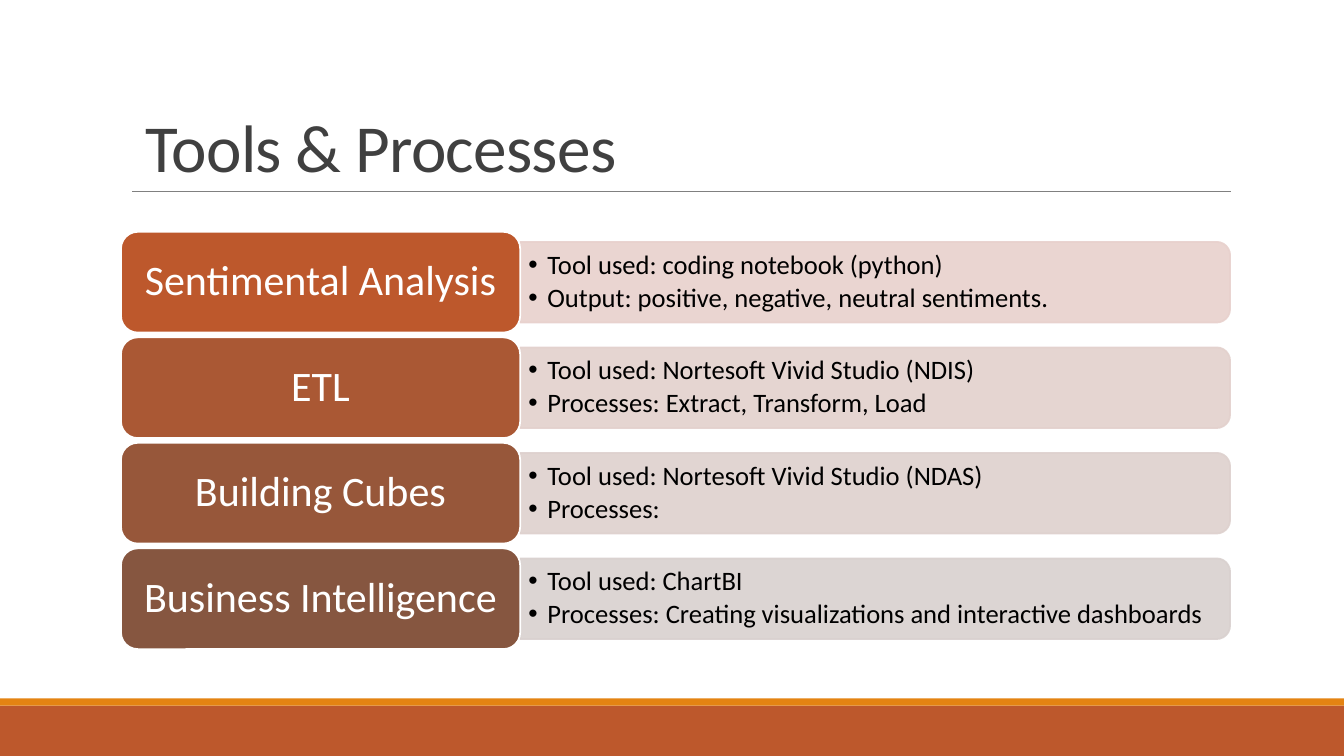
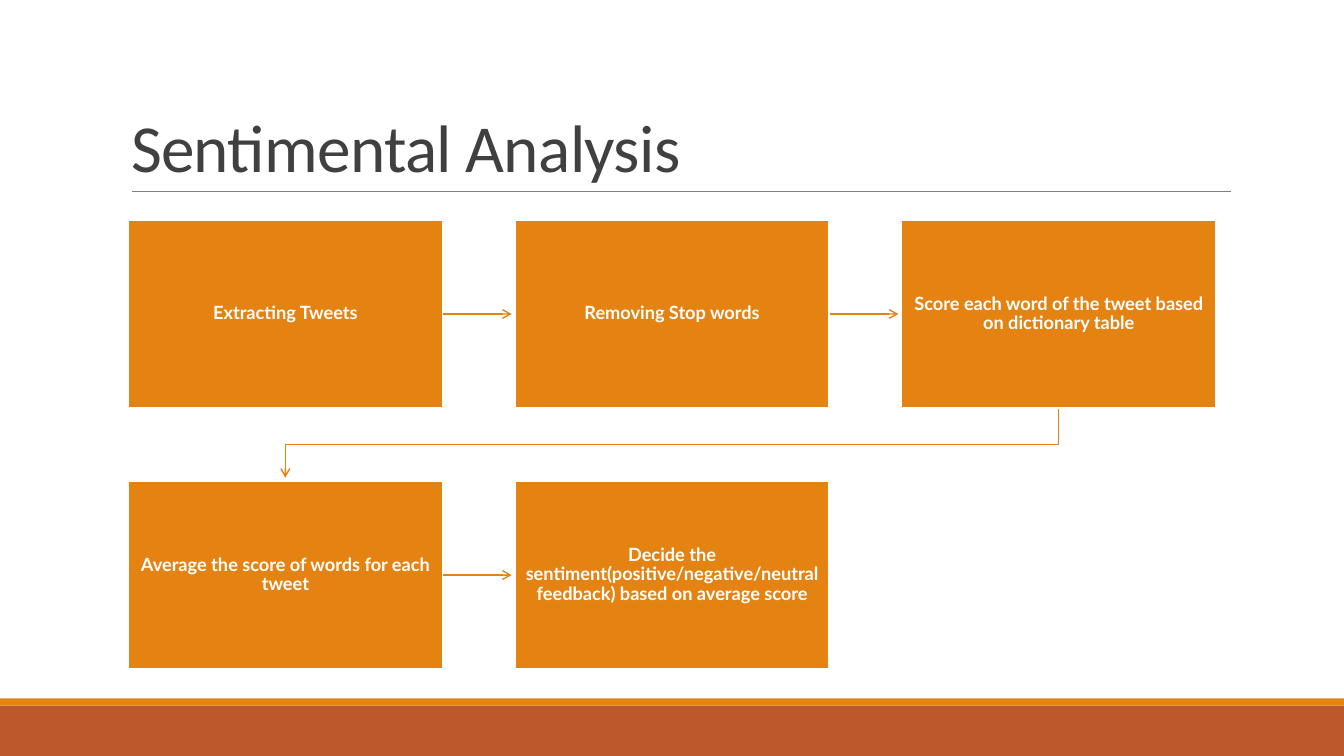
from dataclasses import dataclass
from itertools import pairwise

from lxml.etree import SubElement
from pptx import Presentation
from pptx.dml.color import RGBColor
from pptx.enum.shapes import MSO_CONNECTOR as Connector, MSO_SHAPE as Preset
from pptx.enum.text import MSO_ANCHOR as Anchor, MSO_AUTO_SIZE as AutoSize, PP_ALIGN as Align
from pptx.oxml.ns import qn
from pptx.util import Inches, Pt


@dataclass(frozen=True)
class Theme:
    accent: str = "E48312"
    footer: str = "BD582C"
    rule: str = "808080"
    title: str = "404040"
    dark: str = "000000"
    light: str = "FFFFFF"
    font: str = "Calibri"
    flow_font: str = "Lato"
    title_size: float = 48
    label_size: float = 30
    bullet_size: float = 19
    flow_size: float = 13
    outline: float = 1.25
    arrow: float = 1
    hairline: float = 0.5
    panel_opacity: int = 90


@dataclass(frozen=True)
class Box:
    left: float
    top: float
    width: float
    height: float

    @property
    def right(self):
        return self.left + self.width

    @property
    def bottom(self):
        return self.top + self.height

    @property
    def center(self):
        return self.left + self.width / 2

    @property
    def middle(self):
        return self.top + self.height / 2

    def inches(self):
        return [Inches(length) for length in (self.left, self.top, self.width, self.height)]


THEME = Theme()
PAGE = Box(0, 0, 13.33, 7.5)
TITLE = Box(1.2, 0.31, 11, 1.59)
RULE = Box(1.31, 1.9, 10.9, 0)
STACK = Box(1.2, 2.3, 11, 4.14)
FLOW = Box(1.27, 2.18, 10.79, 4.46)

TOOLS = [
    ("Sentimental Analysis", "BD582C", "E8D1CD",
     ["Tool used: coding notebook (python)", "Output: positive, negative, neutral sentiments."]),
    ("ETL", "AA5834", "E3D1CD",
     ["Tool used: Nortesoft Vivid Studio (NDIS)", "Processes: Extract, Transform, Load"]),
    ("Building Cubes", "97573A", "DED1CE",
     ["Tool used: Nortesoft Vivid Studio (NDAS)", "Processes: "]),
    ("Business Intelligence ", "865640", "D9D1CF",
     ["Tool used: ChartBI", "Processes: Creating visualizations and interactive dashboards"]),
]

STEPS = [
    "Extracting Tweets",
    "Removing Stop words",
    "Score each word of the tweet based on dictionary table",
    "Average the score of words for each tweet",
    "Decide the sentiment(positive/negative/neutral feedback) based on average score",
]


def color(value):
    return RGBColor.from_string(value)


def set_line(shape, value, width):
    shape.line.color.rgb = color(value)
    shape.line.width = Pt(width)


def add_block(slide, preset, box, fill, outline=None):
    shape = slide.shapes.add_shape(preset, *box.inches())
    shape.shadow.inherit = False
    shape.fill.solid()
    shape.fill.fore_color.rgb = color(fill)
    if outline:
        set_line(shape, outline, THEME.outline)
    else:
        shape.line.fill.background()
    return shape


def prepare_frame(shape, anchor, side, vertical):
    frame = shape.text_frame
    frame.word_wrap = True
    frame.auto_size = AutoSize.NONE
    frame.vertical_anchor = anchor
    frame.margin_left = frame.margin_right = Inches(side)
    frame.margin_top = frame.margin_bottom = Inches(vertical)
    return frame


def write(paragraph, text, size, value, font=THEME.font, bold=False, align=Align.LEFT, spacing=0.9):
    paragraph.alignment = align
    paragraph.line_spacing = spacing
    run = paragraph.add_run()
    run.text = text
    run.font.name = font
    run.font.size = Pt(size)
    run.font.bold = bold
    run.font.color.rgb = color(value)
    return run


def add_bullet(paragraph):
    properties = paragraph._p.get_or_add_pPr()
    properties.set("marL", str(Inches(0.19)))
    properties.set("indent", str(-Inches(0.19)))
    SubElement(properties, qn("a:buFont"), typeface="Arial")
    SubElement(properties, qn("a:buChar"), char="•")


def set_opacity(shape, percent):
    for fill in shape.element.spPr.iter(qn("a:srgbClr")):
        SubElement(fill, qn("a:alpha"), val=str(percent * 1000))


def add_arrowhead(shape):
    line = shape.element.spPr.find(qn("a:ln"))
    SubElement(line, qn("a:tailEnd"), type="arrow")


def add_straight(slide, start, end, value, width):
    points = [Inches(length) for length in (*start, *end)]
    connector = slide.shapes.add_connector(Connector.STRAIGHT, *points)
    set_line(connector, value, width)
    SubElement(connector.element.spPr, qn("a:effectLst"))
    return connector


def add_titled_slide(presentation, title):
    slide = presentation.slides.add_slide(presentation.slide_layouts[5])
    add_block(slide, Preset.RECTANGLE, Box(0, 7, PAGE.width, 0.5), THEME.footer)
    add_block(slide, Preset.RECTANGLE, Box(0, 6.93, PAGE.width, 0.07), THEME.accent)
    add_straight(slide, (RULE.left, RULE.top), (RULE.right, RULE.top), THEME.rule, THEME.hairline)
    placeholder = slide.shapes.title
    placeholder.left, placeholder.top, placeholder.width, placeholder.height = TITLE.inches()
    frame = prepare_frame(placeholder, Anchor.BOTTOM, 0.1, 0.05)
    run = write(frame.paragraphs[0], title, THEME.title_size, THEME.title, spacing=0.85)
    run.font._element.set("spc", "-50")
    return slide


def add_panel(slide, box, fill, bullets):
    upright = Box(box.center - box.height / 2, box.middle - box.width / 2, box.height, box.width)
    panel = add_block(slide, Preset.ROUND_2_SAME_RECTANGLE, upright, fill, fill)
    panel.rotation = 90
    set_opacity(panel, THEME.panel_opacity)
    text_box = slide.shapes.add_textbox(*Box(box.left, box.top + 0.04, box.width - 0.04, box.height - 0.08).inches())
    frame = prepare_frame(text_box, Anchor.MIDDLE, 0.08, 0.04)
    for index, text in enumerate(bullets):
        paragraph = frame.add_paragraph() if index else frame.paragraphs[0]
        write(paragraph, text, THEME.bullet_size, THEME.dark)
        if index:
            paragraph.space_before = Pt(THEME.bullet_size * 0.15)
        add_bullet(paragraph)


def add_tool_row(slide, box, label, fill, tint, bullets):
    label_width = box.width * 0.36
    panel = Box(box.left + label_width, box.top + 0.1, box.width - label_width, box.height - 0.2)
    add_panel(slide, panel, tint, bullets)
    tag = add_block(slide, Preset.ROUNDED_RECTANGLE, Box(box.left, box.top, label_width, box.height),
                    fill, THEME.light)
    frame = prepare_frame(tag, Anchor.MIDDLE, 0.17, 0.11)
    write(frame.paragraphs[0], label, THEME.label_size, THEME.light, align=Align.CENTER)


def add_tool_stack(slide, box, tools):
    row_height = 1
    pitch = (box.height - row_height) / (len(tools) - 1)
    for index, tool in enumerate(tools):
        add_tool_row(slide, Box(box.left, box.top + index * pitch, box.width, row_height), *tool)


def add_step(slide, box, text):
    step = add_block(slide, Preset.RECTANGLE, box, THEME.accent, THEME.light)
    frame = prepare_frame(step, Anchor.MIDDLE, 0.1, 0.1)
    write(frame.paragraphs[0], text, THEME.flow_size, THEME.light, THEME.flow_font, True, Align.CENTER)


def add_flow_arrow(slide, source, target):
    gap = 0.03
    if source.top == target.top:
        arrow = add_straight(slide, (source.right, source.middle), (target.left - gap, target.middle),
                             THEME.accent, THEME.arrow)
    else:
        turn = (source.bottom + target.top) / 2
        corners = [(source.center, turn), (target.center, turn), (target.center, target.top - gap)]
        builder = slide.shapes.build_freeform(Inches(source.center), Inches(source.bottom))
        builder.add_line_segments([(Inches(x), Inches(y)) for x, y in corners], close=False)
        arrow = builder.convert_to_shape()
        arrow.shadow.inherit = False
        arrow.fill.background()
        set_line(arrow, THEME.accent, THEME.arrow)
    add_arrowhead(arrow)


def add_step_flow(slide, box, steps, columns=3):
    width, height = 3.12, 1.87
    across = (box.width - width) / (columns - 1)
    down = box.height - height
    boxes = [Box(box.left + index % columns * across, box.top + index // columns * down, width, height)
             for index in range(len(steps))]
    for source, target in pairwise(boxes):
        add_flow_arrow(slide, source, target)
    for step_box, text in zip(boxes, steps):
        add_step(slide, step_box, text)


def main():
    presentation = Presentation()
    presentation.slide_width = Inches(PAGE.width)
    presentation.slide_height = Inches(PAGE.height)
    add_tool_stack(add_titled_slide(presentation, " Tools & Processes"), STACK, TOOLS)
    add_step_flow(add_titled_slide(presentation, "Sentimental Analysis"), FLOW, STEPS)
    presentation.save("out.pptx")


if __name__ == "__main__":
    main()
